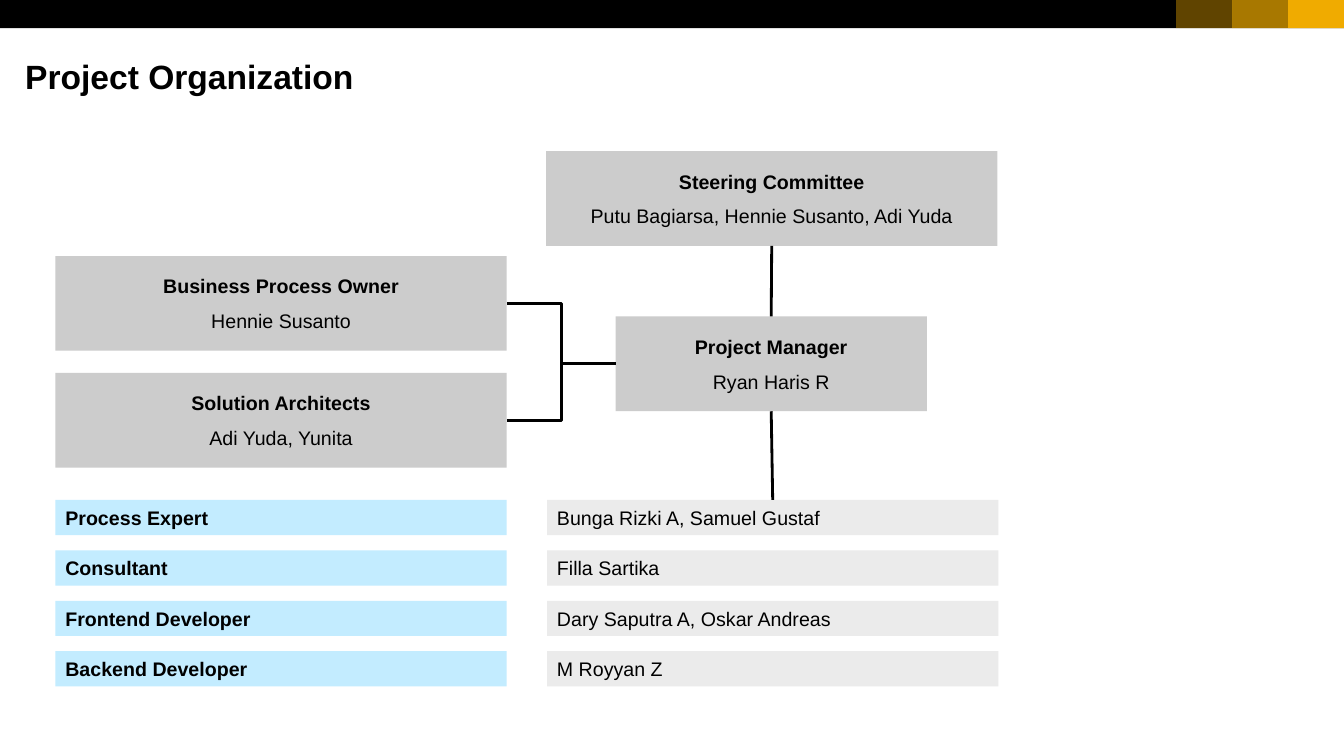
import pptx
import pptx.dml.color
import pptx.enum.shapes
import pptx.enum.text
import pptx.oxml.ns
import pptx.util
from lxml import etree
from pptx.util import Inches

RGBColor = pptx.dml.color.RGBColor
Align = pptx.enum.text.PP_ALIGN
Anchor = pptx.enum.text.MSO_ANCHOR
Connector = pptx.enum.shapes.MSO_CONNECTOR
qn = pptx.oxml.ns.qn

BLACK = RGBColor(0x00, 0x00, 0x00)
GOLD = RGBColor(0xF0, 0xAB, 0x00)
GREY = RGBColor(0xCC, 0xCC, 0xCC)
LIGHT_GREY = RGBColor(0xEB, 0xEB, 0xEB)
LIGHT_BLUE = RGBColor(0xC3, 0xEC, 0xFF)

SLIDE_WIDTH, SLIDE_HEIGHT = 13.34, 7.5
LEFT_COLUMN, RIGHT_COLUMN = 0.55, 5.43
COLUMN_WIDTH = 4.48
BOX_HEIGHT = 0.94
ROW_TOP, ROW_HEIGHT, ROW_STEP = 4.96, 0.35, 0.5
BAND_HEIGHT, BAND_STEP = 0.28, 0.555

TEAM = [
    ("Process Expert", "Bunga Rizki A, Samuel Gustaf"),
    ("Consultant", "Filla Sartika"),
    ("Frontend Developer", "Dary Saputra A, Oskar Andreas"),
    ("Backend Developer", "M Royyan Z"),
]


class OrganizationSlide:
    font_name = "Arial"
    title_size = pptx.util.Pt(24)
    text_size = pptx.util.Pt(14)
    line_width = pptx.util.Pt(2)

    def __init__(self, slide):
        self.slide = slide

    def format_text(self, paragraph, size, bold):
        for run in paragraph.runs:
            run.font.name = self.font_name
            run.font.size = size
            run.font.bold = bold
            run.font.color.rgb = BLACK

    def title(self, text, left, top, width, height):
        title = self.slide.shapes.title
        title.left, title.top = Inches(left), Inches(top)
        title.width, title.height = Inches(width), Inches(height)
        frame = title.text_frame
        frame.text = text
        frame.margin_left = frame.margin_right = 0
        frame.margin_top = frame.margin_bottom = 0
        frame.vertical_anchor = Anchor.MIDDLE
        frame.paragraphs[0].alignment = Align.LEFT
        self.format_text(frame.paragraphs[0], self.title_size, True)

    def rectangle(self, left, top, width, height, color, opacity=100):
        shape = self.slide.shapes.add_shape(
            pptx.enum.shapes.MSO_SHAPE.RECTANGLE,
            Inches(left), Inches(top), Inches(width), Inches(height))
        shape.shadow.inherit = False
        shape.fill.solid()
        shape.fill.fore_color.rgb = color
        shape.line.fill.background()
        if opacity < 100:
            fill_color = shape.fill._xPr.find(qn("a:solidFill"))[0]
            etree.SubElement(fill_color, qn("a:alpha"), val=str(opacity * 1000))
        return shape

    def text_box(self, left, top, width, height, color, lines, alignment):
        """Draw a filled box; lines holds (text, bold) pairs."""
        shape = self.rectangle(left, top, width, height, color)
        frame = shape.text_frame
        frame.word_wrap = True
        frame.vertical_anchor = Anchor.MIDDLE
        frame.margin_left = frame.margin_right = Inches(0.1)
        frame.margin_top = frame.margin_bottom = Inches(0.08)
        frame.text = "\n".join(text for text, bold in lines)
        for index, (text, bold) in enumerate(lines):
            paragraph = frame.paragraphs[index]
            paragraph.alignment = alignment
            if index:
                paragraph.space_before = pptx.util.Pt(8)
            self.format_text(paragraph, self.text_size, bold)
        return shape

    def role_box(self, left, top, width, role, people):
        return self.text_box(left, top, width, BOX_HEIGHT, GREY,
                             [(role, True), (people, False)], Align.CENTER)

    def connect(self, kind, start, start_site, end, end_site):
        connector = self.slide.shapes.add_connector(kind, 0, 0, 0, 0)
        connector.begin_connect(start, start_site)
        connector.end_connect(end, end_site)
        connector.line.color.rgb = BLACK
        connector.line.width = self.line_width
        etree.SubElement(connector._element.spPr, qn("a:effectLst"))


def main():
    presentation = pptx.Presentation()
    presentation.slide_width = Inches(SLIDE_WIDTH)
    presentation.slide_height = Inches(SLIDE_HEIGHT)
    title_only = presentation.slide_layouts[5]
    page = OrganizationSlide(presentation.slides.add_slide(title_only))

    # Top band, with gold blocks fading from the right
    page.rectangle(0, 0, SLIDE_WIDTH, BAND_HEIGHT, BLACK)
    for index, opacity in enumerate((100, 70, 40), start=1):
        page.rectangle(SLIDE_WIDTH - index * BAND_STEP, 0,
                       BAND_STEP, BAND_HEIGHT, GOLD, opacity)

    page.title("Project Organization", 0.25, 0.55, 12.84, 0.4)

    # Lead roles
    committee = page.role_box(5.42, 1.5, COLUMN_WIDTH, "Steering Committee",
                              "Putu Bagiarsa, Hennie Susanto, Adi Yuda")
    owner = page.role_box(LEFT_COLUMN, 2.54, COLUMN_WIDTH,
                          "Business Process Owner", "Hennie Susanto")
    architects = page.role_box(LEFT_COLUMN, 3.7, COLUMN_WIDTH,
                               "Solution Architects", "Adi Yuda, Yunita")
    manager = page.role_box(6.11, 3.14, 3.09, "Project Manager", "Ryan Haris R")

    # Team rows
    people_boxes = []
    for index, (role, people) in enumerate(TEAM):
        top = ROW_TOP + index * ROW_STEP
        page.text_box(LEFT_COLUMN, top, COLUMN_WIDTH, ROW_HEIGHT,
                      LIGHT_BLUE, [(role, True)], Align.LEFT)
        people_boxes.append(
            page.text_box(RIGHT_COLUMN, top, COLUMN_WIDTH, ROW_HEIGHT,
                          LIGHT_GREY, [(people, False)], Align.LEFT))

    # Reporting lines; sites run top 0, left 1, bottom 2, right 3
    page.connect(Connector.ELBOW, owner, 3, manager, 1)
    page.connect(Connector.ELBOW, architects, 3, manager, 1)
    page.connect(Connector.STRAIGHT, committee, 2, manager, 0)
    page.connect(Connector.STRAIGHT, manager, 2, people_boxes[0], 0)

    presentation.save("out.pptx")


if __name__ == "__main__":
    main()
